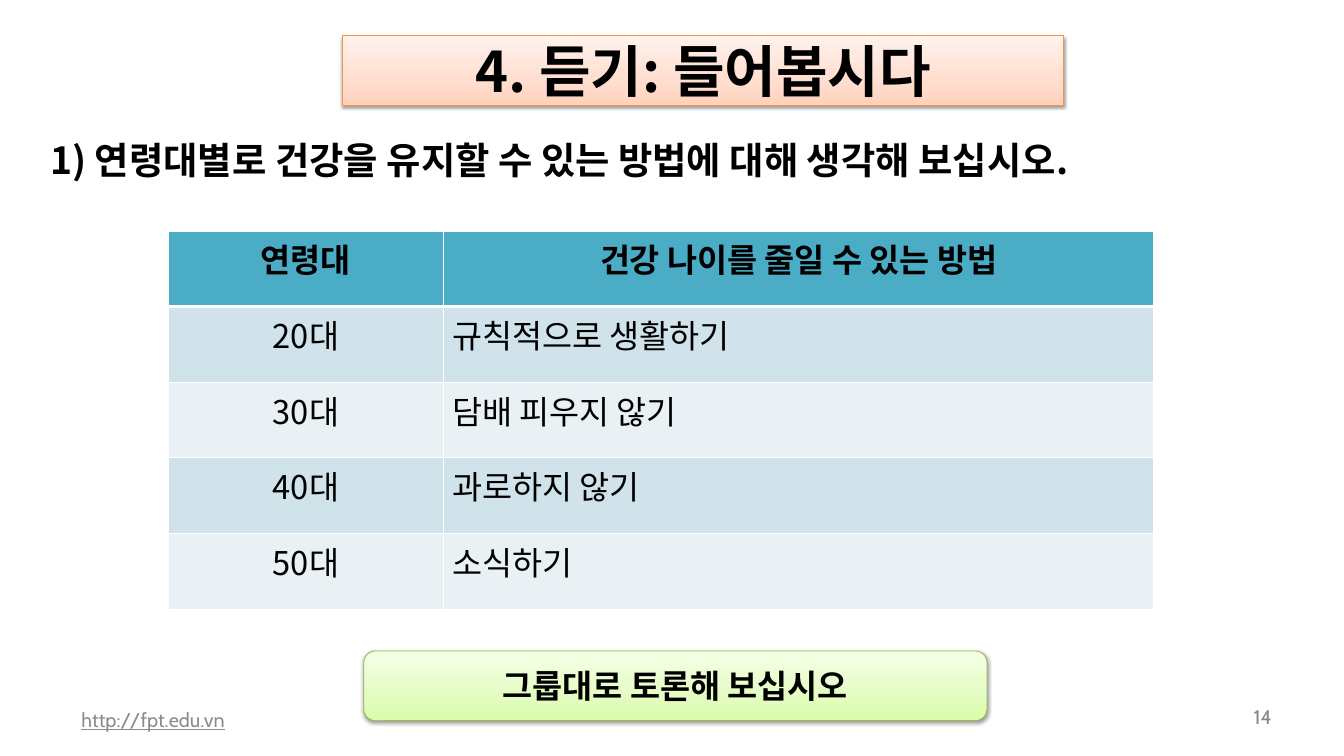
from lxml import etree
from pptx import Presentation
from pptx.dml.color import RGBColor
from pptx.enum.shapes import MSO_SHAPE as Shape
from pptx.enum.text import MSO_ANCHOR as Anchor, PP_ALIGN as Align
from pptx.oxml import parse_xml
from pptx.oxml.ns import nsdecls, qn
from pptx.util import Inches, Pt

KOREAN, LATIN = "Noto Sans CJK KR", "Cabin"
BLACK = RGBColor(0, 0, 0)
WHITE = RGBColor(0xFF, 0xFF, 0xFF)
LINK_GREY = RGBColor(0x8C, 0x8C, 0x8C)
NUMBER_GREY = RGBColor(0x89, 0x89, 0x89)
TEAL = RGBColor(0x4B, 0xAC, 0xC6)
BANDS = RGBColor(0xD0, 0xE3, 0xEA), RGBColor(0xE9, 0xF1, 0xF5)
ORANGE = RGBColor(0xF6, 0x92, 0x40)
GREEN = RGBColor(0x98, 0xB9, 0x55)
PEACH_STOPS = {0: RGBColor(0xFF, 0xD2, 0xBD), 35: RGBColor(0xFF, 0xDE, 0xD0),
               100: RGBColor(0xFF, 0xF2, 0xED)}
LIME_STOPS = {0: RGBColor(0xDA, 0xFD, 0xA7), 35: RGBColor(0xE4, 0xFC, 0xC2),
              100: RGBColor(0xF5, 0xFF, 0xE7)}

AGE_ROWS = [
    ("연령대", "건강 나이를 줄일 수 있는 방법"),
    ("20대", "규칙적으로 생활하기"),
    ("30대", "담배 피우지 않기"),
    ("40대", "과로하지 않기"),
    ("50대", "소식하기"),
]


def write(frame, text, size, color=BLACK, face=KOREAN, bold=False,
          underline=None, align=Align.LEFT):
    para = frame.paragraphs[0]
    para.alignment = align
    span = para.add_run()
    span.text = text
    font = span.font
    font.size, font.bold, font.underline = Pt(size), bold, underline
    font.color.rgb = color
    font.name = face
    east_asian = etree.SubElement(font._element, qn("a:ea"))
    east_asian.set("typeface", face)


def add_label(page, box, text, size, margins=(0.1, 0.05), anchor=Anchor.TOP, **style):
    frame = page.shapes.add_textbox(*map(Inches, box)).text_frame
    frame.word_wrap = True
    frame.vertical_anchor = anchor
    frame.margin_left = frame.margin_right = Inches(margins[0])
    frame.margin_top = frame.margin_bottom = Inches(margins[1])
    write(frame, text, size, **style)


def add_banner(page, box, kind, text, size, stops, edge):
    """Centred bold text on a vertical gradient with a soft shadow."""
    banner = page.shapes.add_shape(kind, *map(Inches, box))
    banner.fill.gradient()
    banner.fill.gradient_angle = 90
    stop_list = banner._element.spPr.find(".//" + qn("a:gsLst"))
    stop_list[:] = [
        parse_xml(f'<a:gs {nsdecls("a")} pos="{share * 1000}">'
                  f'<a:srgbClr val="{color}"/></a:gs>')
        for share, color in stops.items()]
    banner.line.color.rgb = edge
    banner.line.width = Pt(0.75)
    banner.shadow.inherit = False
    banner._element.spPr.find(qn("a:effectLst")).append(parse_xml(
        f'<a:outerShdw {nsdecls("a")} blurRad="{Pt(3.1)}" dist="{Pt(1.6)}" '
        'dir="5400000" rotWithShape="0"><a:srgbClr val="000000">'
        '<a:alpha val="38000"/></a:srgbClr></a:outerShdw>'))
    frame = banner.text_frame
    frame.word_wrap = True
    frame.vertical_anchor = Anchor.MIDDLE
    write(frame, text, size, bold=True, align=Align.CENTER)


def set_borders(cell, top, bottom):
    for side, width in zip("LRTB", (1, 1, top, bottom)):
        cell._tc.get_or_add_tcPr().append(parse_xml(
            f'<a:ln{side} {nsdecls("a")} w="{Pt(width)}"><a:solidFill>'
            f'<a:srgbClr val="{WHITE}"/></a:solidFill></a:ln{side}>'))


def add_age_table(page, box, rows, first_share=0.28):
    left, top, width, height = map(Inches, box)
    table = page.shapes.add_table(len(rows), 2, left, top, width, height).table
    table.columns[0].width = round(width * first_share)
    table.columns[1].width = width - table.columns[0].width
    for row, texts in enumerate(rows):
        header = row == 0
        for column, text in enumerate(texts):
            cell = table.cell(row, column)
            set_borders(cell, 3 if row == 1 else 1, 3 if header else 1)
            cell.fill.solid()
            cell.fill.fore_color.rgb = TEAL if header else BANDS[(row - 1) % 2]
            centred = header or column == 0
            write(cell.text_frame, text, 28, bold=header,
                  align=Align.CENTER if centred else Align.LEFT)


def add_footer(page, box):
    left, top, width, height = box
    style = dict(size=17, face=LATIN, margins=(0.14, 0.07), anchor=Anchor.MIDDLE)
    add_label(page, (left, top, 0.35 * width, height + 0.07), "http://fpt.edu.vn",
              color=LINK_GREY, underline=True, **style)
    add_label(page, (left + width - 0.78, top, 0.78, height), "14",
              color=NUMBER_GREY, align=Align.RIGHT, **style)


def build_listening_slide(deck):
    page = deck.slides.add_slide(deck.slide_layouts[6])
    add_footer(page, (0.83, 8.33, 14.45, 0.41))
    add_banner(page, (4.08, 0.42, 8.58, 0.83), Shape.RECTANGLE,
               "4. 듣기: 들어봅시다", 48, PEACH_STOPS, ORANGE)
    add_label(page, (0.5, 1.58, 15.5, 0.67),
              "1) 연령대별로 건강을 유지할 수 있는 방법에 대해 생각해 보십시오.",
              32, bold=True)
    add_age_table(page, (2, 2.75, 11.73, 4.5), AGE_ROWS)
    add_banner(page, (4.33, 7.75, 7.42, 0.83), Shape.ROUNDED_RECTANGLE,
               "그룹대로 토론해 보십시오", 28, LIME_STOPS, GREEN)


def main():
    deck = Presentation()
    deck.slide_width, deck.slide_height = Inches(16), Inches(9)
    build_listening_slide(deck)
    deck.save("out.pptx")


if __name__ == "__main__":
    main()
